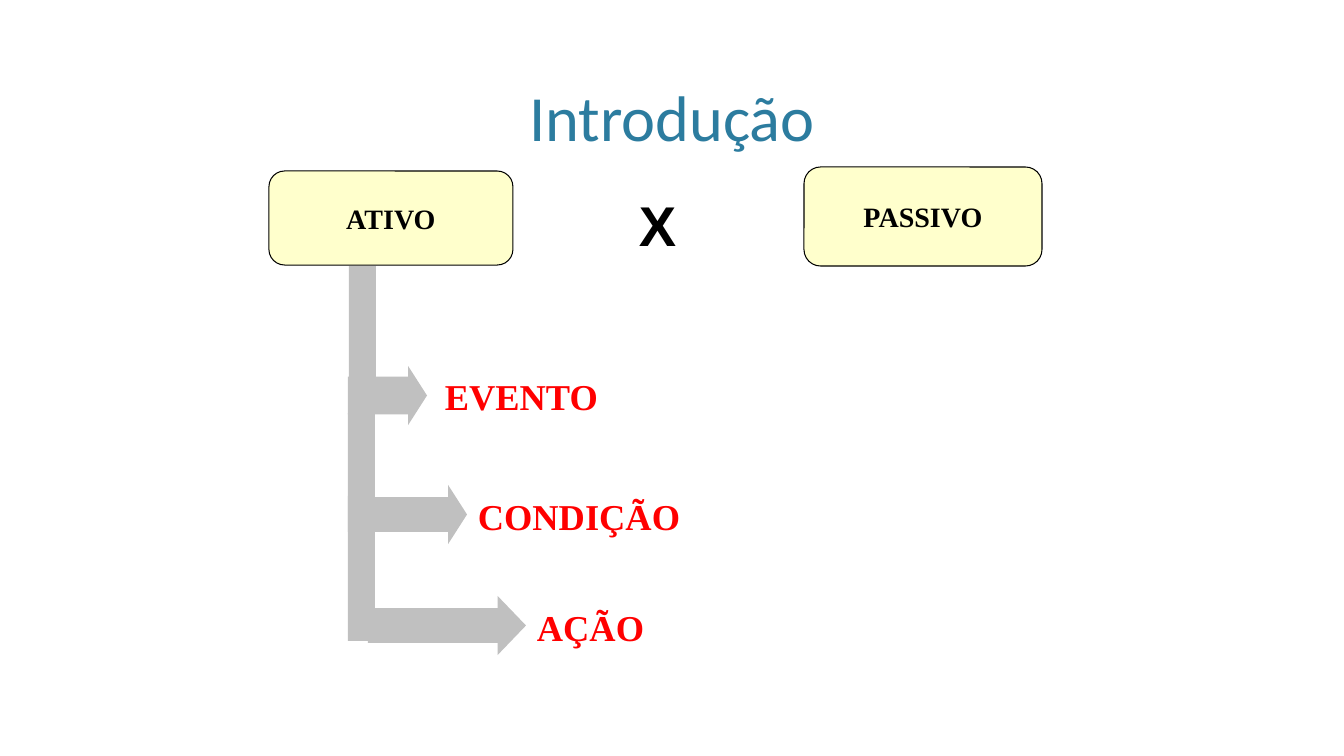
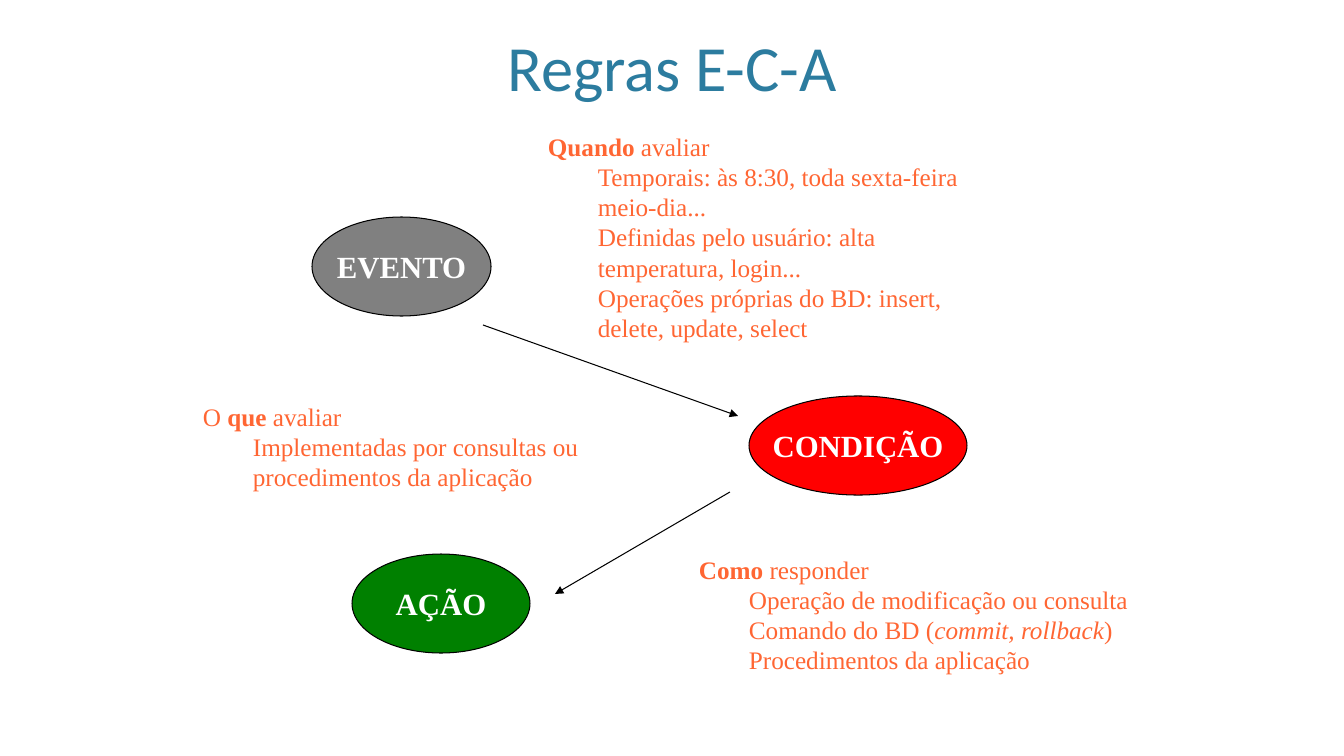
from lxml.etree import SubElement
from pptx import Presentation
from pptx.dml.color import RGBColor
from pptx.enum.shapes import MSO_CONNECTOR as Connector, MSO_SHAPE as Preset
from pptx.enum.text import MSO_ANCHOR as Anchor, PP_ALIGN as Align
from pptx.oxml.ns import qn
from pptx.util import Emu, Pt

SCALE = 914400 / 100.8  # EMU per pixel
WIDTH, HEIGHT = 1344, 756
COLORS = {
    "title": "2C7C9F", "black": "000000", "white": "FFFFFF",
    "cream": "FFFFCC", "silver": "C0C0C0", "gray": "808080",
    "red": "FF0000", "green": "008000", "orange": "FF6633",
}
SERIF = "Times New Roman"
LINE_WIDTH = Pt(0.74)
INDENT = 50


def px(value):
    return Emu(round(value * SCALE))


def color(name):
    return RGBColor.from_string(COLORS[name])


def add_run(paragraph, text, size, ink, font=SERIF, bold=False, italic=False):
    run = paragraph.add_run()
    run.text = text
    run.font.name = font
    run.font.size = Pt(size)
    run.font.color.rgb = color(ink)
    run.font.bold = bold
    run.font.italic = italic


def add_textbox(slide, box, anchor=Anchor.TOP):
    frame = slide.shapes.add_textbox(*map(px, box)).text_frame
    frame.word_wrap = True
    frame.vertical_anchor = anchor
    return frame


def add_label(slide, box, text, size, ink, font=SERIF, bold=True,
              align=Align.LEFT, anchor=Anchor.TOP):
    paragraph = add_textbox(slide, box, anchor).paragraphs[0]
    paragraph.alignment = align
    add_run(paragraph, text, size, ink, font, bold)


def add_title(slide, top, height, text):
    add_label(slide, (81, top, 1182, height), text, 46, "title", "Calibri",
              False, Align.CENTER, Anchor.BOTTOM)


def add_block(slide, preset, box, fill, outlined=False):
    shape = slide.shapes.add_shape(preset, *map(px, box))
    shape.shadow.inherit = False
    shape.fill.solid()
    shape.fill.fore_color.rgb = color(fill)
    if outlined:
        shape.line.color.rgb = color("black")
        shape.line.width = LINE_WIDTH
    else:
        shape.line.fill.background()
    return shape


def add_node(slide, preset, box, fill, text, size, ink):
    """Outlined shape with a centred bold caption."""
    frame = add_block(slide, preset, box, fill, True).text_frame
    frame.word_wrap = False
    frame.vertical_anchor = Anchor.MIDDLE
    paragraph = frame.paragraphs[0]
    paragraph.alignment = Align.CENTER
    add_run(paragraph, text, size, ink, bold=True)


def add_branch(slide, stem, arrow, adjustments, label_box, text):
    """Stem, arrow and red caption of one branch."""
    add_label(slide, label_box, text, 26, "red")
    add_block(slide, Preset.RECTANGLE, stem, "silver")
    shape = add_block(slide, Preset.RIGHT_ARROW, arrow, "silver")
    for index, value in enumerate(adjustments):
        shape.adjustments[index] = value


def add_arrow(slide, start, end):
    connector = slide.shapes.add_connector(
        Connector.STRAIGHT, *map(px, start + end))
    connector.line.color.rgb = color("black")
    connector.line.width = LINE_WIDTH
    SubElement(connector.line._get_or_add_ln(), qn("a:tailEnd"), type="triangle")
    SubElement(connector._element.spPr, qn("a:effectLst"))


def add_notes_block(slide, box, heading, items):
    """Heading followed by indented items, each a list of (text, style) runs."""
    frame = add_textbox(slide, box)
    for index, runs in enumerate([heading] + items):
        paragraph = frame.add_paragraph() if index else frame.paragraphs[0]
        paragraph.alignment = Align.LEFT
        if index:
            paragraph.level = 1
            properties = paragraph._p.get_or_add_pPr()
            properties.set("marL", str(px(INDENT)))
            properties.set("indent", "0")
        for text, style in runs:
            add_run(paragraph, text, 18, "orange",
                    bold=style == "bold", italic=style == "italic")


def build_introduction(slide):
    # Active versus passive
    for box, text in (((804, 167, 238, 99), "PASSIVO"),
                      ((269, 171, 244, 94), "ATIVO")):
        add_node(slide, Preset.ROUNDED_RECTANGLE, box, "cream", text, 20, "black")
    add_label(slide, (602, 186, 111, 79), "X", 40, "black", "Arial",
              align=Align.CENTER)

    # Branches below the active box
    add_branch(slide, (349, 266, 27, 138), (348, 366, 79, 59), (0.64, 0.32),
               (435, 369, 218, 53), "EVENTO")
    add_branch(slide, (348, 413, 27, 119), (368, 485, 99, 59), (0.59, 0.32),
               (468, 489, 297, 53), "CONDIÇÃO")
    add_branch(slide, (348, 496, 27, 145), (368, 596, 158, 59), (0.59, 0.48),
               (527, 600, 218, 53), "AÇÃO")
    add_title(slide, 12, 147, "Introdução")


def build_rules(slide):
    add_title(slide, 7, 102, "Regras E-C-A")

    # Event, condition and action
    for box, fill, text in (((312, 217, 179, 99), "gray", "EVENTO"),
                            ((749, 396, 218, 99), "red", "CONDIÇÃO"),
                            ((352, 554, 178, 99), "green", "AÇÃO")):
        add_node(slide, Preset.OVAL, box, fill, text, 22, "white")
    add_arrow(slide, (483, 325), (738, 416))
    add_arrow(slide, (730, 492), (555, 594))

    # Explanations
    add_notes_block(
        slide, (538, 126, 457, 222), [("Quando", "bold"), (" avaliar", "")],
        [[("Temporais: às 8:30, toda sexta-feira meio-dia...", "")],
         [("Definidas pelo usuário: alta temperatura, login...", "")],
         [("Operações próprias do BD: insert, delete, update, select", "")]])
    add_notes_block(
        slide, (193, 396, 416, 101),
        [("O ", ""), ("que", "bold"), (" avaliar", "")],
        [[("Implementadas por consultas ou procedimentos da aplicação", "")]])
    add_notes_block(
        slide, (689, 549, 496, 131), [("Como", "bold"), (" responder", "")],
        [[("Operação de modificação ou consulta", "")],
         [("Comando do BD (", ""), ("commit, rollback", "italic"), (")", "")],
         [("Procedimentos da aplicação", "")]])


def main():
    presentation = Presentation()
    presentation.slide_width = px(WIDTH)
    presentation.slide_height = px(HEIGHT)
    blank = presentation.slide_layouts[6]
    for build in (build_introduction, build_rules):
        build(presentation.slides.add_slide(blank))
    presentation.save("out.pptx")


main()
